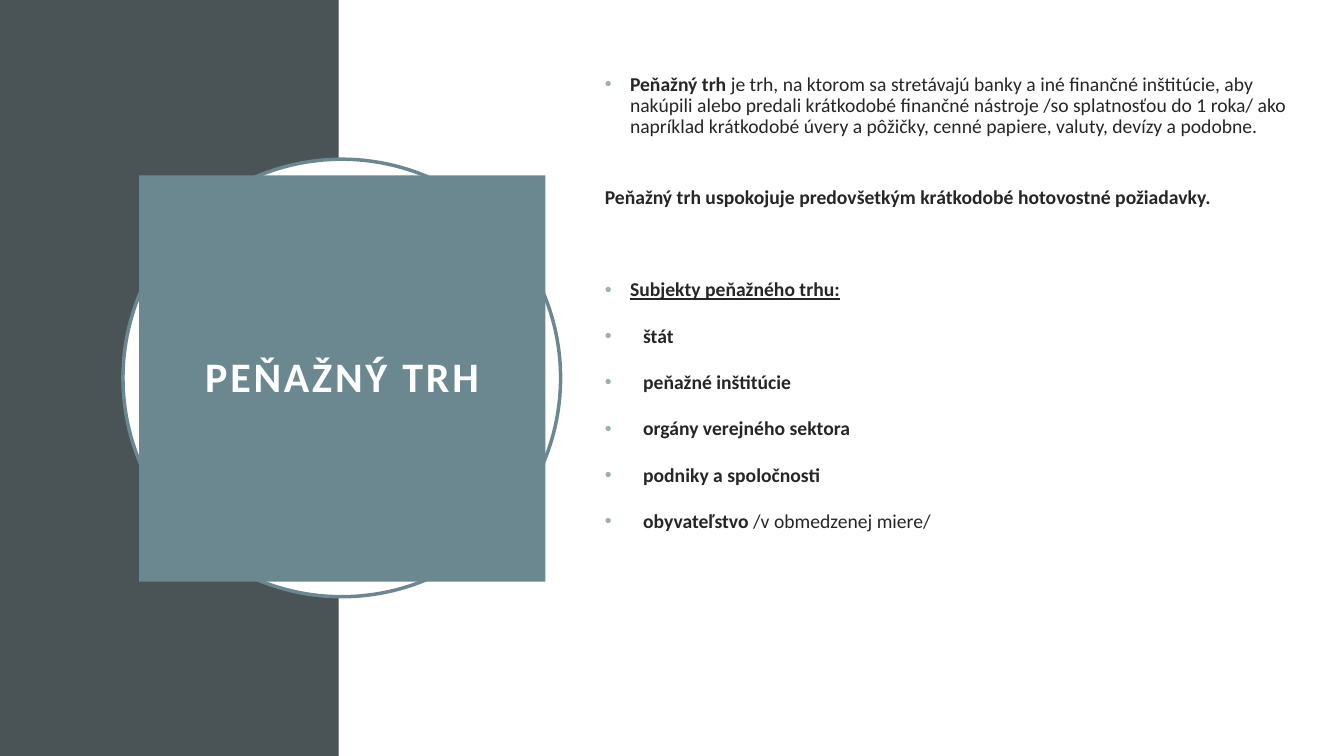
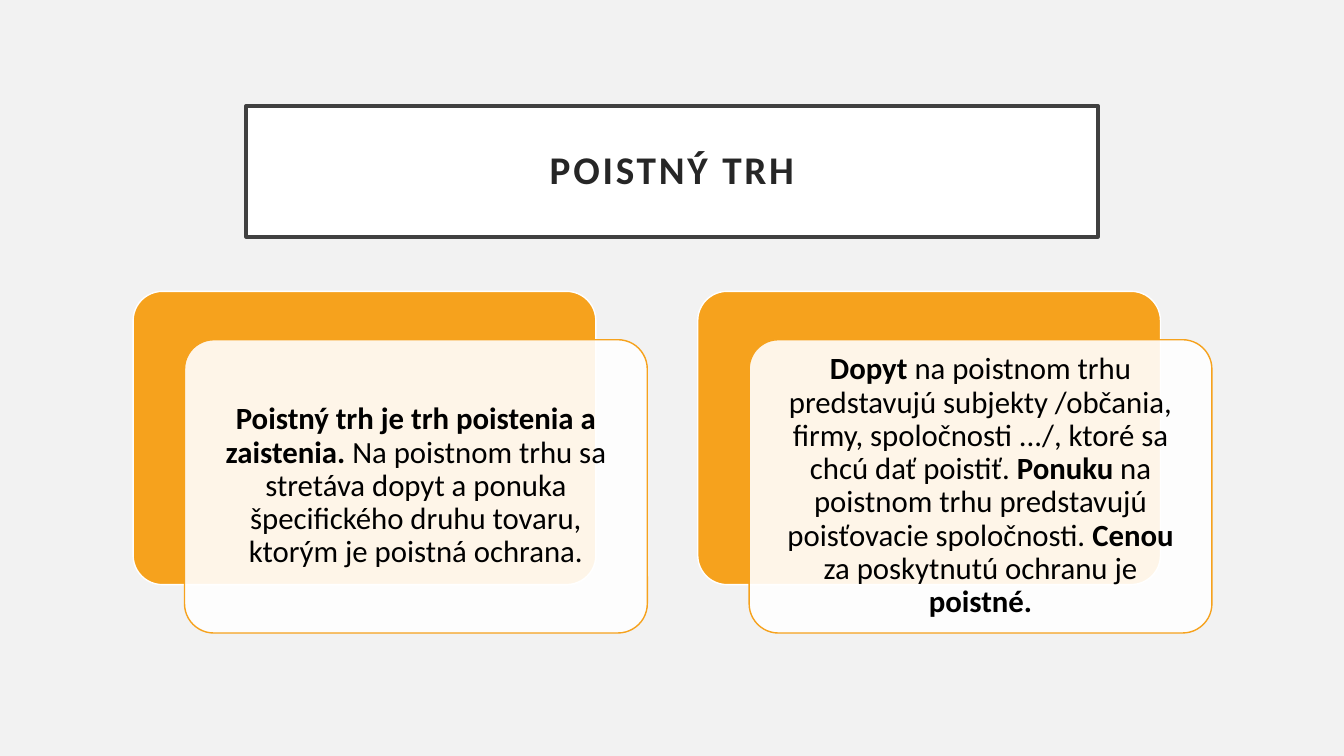
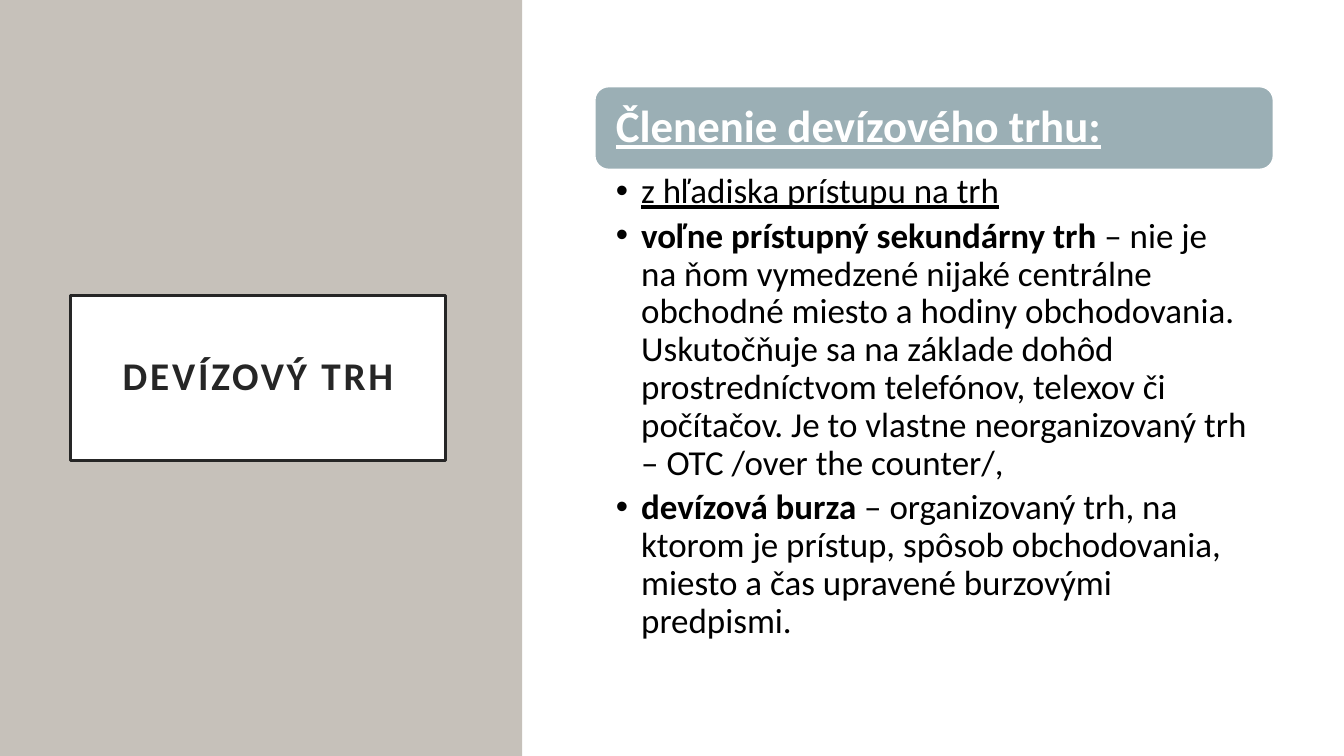
from dataclasses import dataclass

from lxml import etree
from pptx import Presentation
from pptx.dml.color import RGBColor
from pptx.enum.shapes import MSO_SHAPE
from pptx.enum.text import MSO_ANCHOR, PP_ALIGN
from pptx.oxml.ns import qn
from pptx.util import Inches, Pt

RECT = MSO_SHAPE.RECTANGLE
OVAL = MSO_SHAPE.OVAL
ROUND = MSO_SHAPE.ROUNDED_RECTANGLE
LEFT, CENTER = PP_ALIGN.LEFT, PP_ALIGN.CENTER
TOP, MIDDLE = MSO_ANCHOR.TOP, MSO_ANCHOR.MIDDLE

FONT = "Calibri"
COLORS = {
    "slate": "4A5356",
    "teal": "6B8891",
    "mist": "9BAFB5",
    "stone": "C6C1BA",
    "orange": "F6A21D",
    "pale": "F2F2F2",
    "frame": "404040",
    "ink": "262626",
    "white": "FFFFFF",
    "black": "000000",
}
SLIDE_W, SLIDE_H = 13.33, 7.5


@dataclass(frozen=True)
class Box:
    x: float
    y: float
    w: float
    h: float


@dataclass(frozen=True)
class Run:
    text: str
    bold: bool = False
    underline: bool = False


@dataclass(frozen=True)
class Para:
    runs: tuple[Run, ...]
    before: float = 0
    after: float = 0
    indent: float = 0  # a hanging indent carries a bullet


@dataclass(frozen=True)
class Style:
    size: float
    color: str
    align: PP_ALIGN = LEFT
    anchor: MSO_ANCHOR = MIDDLE
    insets: tuple[float, float, float, float] = (0.1, 0.05, 0.1, 0.05)
    spacing: float = 0
    bullet: str = ""


def rgb(name: str) -> RGBColor:
    return RGBColor.from_string(COLORS[name])


def add_slide(prs, background: str = "white"):
    s = prs.slides.add_slide(prs.slide_layouts[6])
    s.background.fill.solid()
    s.background.fill.fore_color.rgb = rgb(background)
    return s


def add_shape(s, kind, box: Box, fill: str, line: str = "",
              width: float = 1, opacity: int = 100):
    sp = s.shapes.add_shape(kind, Inches(box.x), Inches(box.y),
                            Inches(box.w), Inches(box.h))
    sp.shadow.inherit = False
    sp.fill.solid()
    sp.fill.fore_color.rgb = rgb(fill)
    if opacity < 100:
        color = sp.element.spPr.find(".//" + qn("a:srgbClr"))
        etree.SubElement(color, qn("a:alpha"), val=str(opacity * 1000))
    if line:
        sp.line.color.rgb = rgb(line)
        sp.line.width = Pt(width)
    else:
        sp.line.fill.background()
    return sp


def add_bullet(p, indent: float, color: str) -> None:
    pPr = p._p.get_or_add_pPr()
    pPr.set("marL", str(Inches(indent)))
    pPr.set("indent", str(-Inches(indent)))
    if color:
        clr = etree.SubElement(pPr, qn("a:buClr"))
        etree.SubElement(clr, qn("a:srgbClr"), val=COLORS[color])
    etree.SubElement(pPr, qn("a:buFont"), typeface="Arial")
    etree.SubElement(pPr, qn("a:buChar"), char="•")


def write(sp, paras: list[Para], style: Style) -> None:
    tf = sp.text_frame
    tf.word_wrap = True
    tf.vertical_anchor = style.anchor
    (tf.margin_left, tf.margin_top,
     tf.margin_right, tf.margin_bottom) = map(Inches, style.insets)
    for i, para in enumerate(paras):
        p = tf.add_paragraph() if i else tf.paragraphs[0]
        p.alignment = style.align
        p.line_spacing = 0.9
        p.space_before = Pt(para.before)
        p.space_after = Pt(para.after)
        if para.indent:
            add_bullet(p, para.indent, style.bullet)
        for run in para.runs:
            r = p.add_run()
            r.text = run.text
            r.font.name = FONT
            r.font.size = Pt(style.size)
            r.font.color.rgb = rgb(style.color)
            r.font.bold = run.bold
            r.font.underline = run.underline
            if style.spacing:
                r._r.get_or_add_rPr().set("spc", str(int(style.spacing * 100)))


def add_text(s, box: Box, paras: list[Para], style: Style) -> None:
    sp = s.shapes.add_textbox(Inches(box.x), Inches(box.y),
                              Inches(box.w), Inches(box.h))
    write(sp, paras, style)


def add_title(s, text: str, box: Box, fill: str = "white", line: str = "",
              color: str = "ink", size: float = 28) -> None:
    sp = add_shape(s, RECT, box, fill, line, 2.5)
    write(sp, [Para((Run(text, bold=True),))],
          Style(size, color, CENTER, insets=(0.2,) * 4, spacing=2))


def add_card(s, x: float, y: float, runs: tuple[Run, ...]) -> None:
    """Orange plate with a translucent text card shifted over it."""
    w, h = 4.59, 2.91
    plate = add_shape(s, ROUND, Box(x, y, w, h), "orange", "white")
    card = add_shape(s, ROUND, Box(x + 0.51, y + 0.48, w, h),
                     "white", "orange", opacity=90)
    for sp in (plate, card):
        sp.adjustments[0] = 0.1
    write(card, [Para(runs)], Style(22, "black", CENTER, insets=(0.17,) * 4))


def money_market(prs) -> None:
    s = add_slide(prs)
    # Side band, ring and title block
    add_shape(s, RECT, Box(0, 0, 3.36, SLIDE_H), "slate")
    add_shape(s, OVAL, Box(1.22, 1.58, 4.34, 4.34), "white", "teal", 2.5)
    add_title(s, "PEŇAŽNÝ TRH", Box(1.38, 1.74, 4.03, 4.03),
              fill="teal", color="white", size=30)
    # Definition and list of participants
    participants = [
        (Run("štát", bold=True),),
        (Run("peňažné inštitúcie", bold=True),),
        (Run("orgány verejného sektora", bold=True),),
        (Run("podniky a spoločnosti", bold=True),),
        (Run("obyvateľstvo ", bold=True), Run("/v obmedzenej miere/")),
    ]
    paras = [
        Para((Run("Peňažný trh", bold=True),
              Run(" je trh, na ktorom sa stretávajú banky a iné finančné "
                  "inštitúcie, aby nakúpili alebo predali krátkodobé finančné "
                  "nástroje /so splatnosťou do 1 roka/ ako napríklad "
                  "krátkodobé úvery a pôžičky, cenné papiere, valuty, devízy "
                  "a podobne.")), indent=0.25),
        Para((Run("Peňažný trh uspokojuje predovšetkým krátkodobé "
                  "hotovostné požiadavky.", bold=True),), before=35, after=8),
        Para((Run("Subjekty peňažného trhu:", bold=True, underline=True),),
             before=43, after=8, indent=0.25),
    ]
    paras += [Para(runs, 10, 8, 0.38) for runs in participants]
    add_text(s, Box(5.9, 0.47, 7.12, 5.45), paras,
             Style(14, "ink", anchor=TOP, insets=(0.1, 0.27, 0.1, 0.05),
                   bullet="mist"))


def insurance_market(prs) -> None:
    s = add_slide(prs, "pale")
    add_title(s, "POISTNÝ TRH", Box(2.44, 1.05, 8.45, 1.3), line="frame")
    # Two overlapping cards
    cards = [
        (Run("Poistný trh je trh poistenia a zaistenia.", bold=True),
         Run(" Na poistnom trhu sa stretáva dopyt a ponuka špecifického "
             "druhu tovaru, ktorým je poistná ochrana.")),
        (Run("Dopyt", bold=True),
         Run(" na poistnom trhu predstavujú subjekty /občania, firmy, "
             "spoločnosti .../, ktoré sa chcú dať poistiť. "),
         Run("Ponuku", bold=True),
         Run(" na poistnom trhu predstavujú poisťovacie spoločnosti. "),
         Run("Cenou", bold=True),
         Run(" za poskytnutú ochranu je "),
         Run("poistné.", bold=True)),
    ]
    for i, runs in enumerate(cards):
        add_card(s, 1.32 + i * 5.6, 2.89, runs)


def currency_market(prs) -> None:
    s = add_slide(prs)
    add_shape(s, RECT, Box(0, 0, 5.18, SLIDE_H), "stone")
    add_title(s, "DEVÍZOVÝ TRH", Box(0.7, 2.93, 3.72, 1.64), line="ink")
    # Heading bar
    bar = add_shape(s, ROUND, Box(5.9, 0.86, 6.73, 0.82), "mist", "white")
    write(bar, [Para((Run("Členenie devízového trhu:", True, True),))],
          Style(32, "white", insets=(0.17,) * 4))
    # Market types
    items = [
        (Run("z hľadiska prístupu na trh", underline=True),),
        (Run("voľne prístupný sekundárny trh", bold=True),
         Run(" – nie je na ňom vymedzené nijaké centrálne obchodné miesto "
             "a hodiny obchodovania. Uskutočňuje sa na základe dohôd "
             "prostredníctvom telefónov, telexov či počítačov. Je to vlastne "
             "neorganizovaný trh – OTC /over the counter/,")),
        (Run("devízová burza", bold=True),
         Run(" – organizovaný trh, na ktorom je prístup, spôsob "
             "obchodovania, miesto a čas upravené burzovými predpismi.")),
    ]
    add_text(s, Box(5.9, 1.68, 6.73, 4.64),
             [Para(runs, after=5, indent=0.25) for runs in items],
             Style(25, "black", anchor=TOP, insets=(0.21, 0.04, 0.25, 0.04)))


def main() -> None:
    prs = Presentation()
    prs.slide_width = Inches(SLIDE_W)
    prs.slide_height = Inches(SLIDE_H)
    money_market(prs)
    insurance_market(prs)
    currency_market(prs)
    prs.save("out.pptx")


if __name__ == "__main__":
    main()
